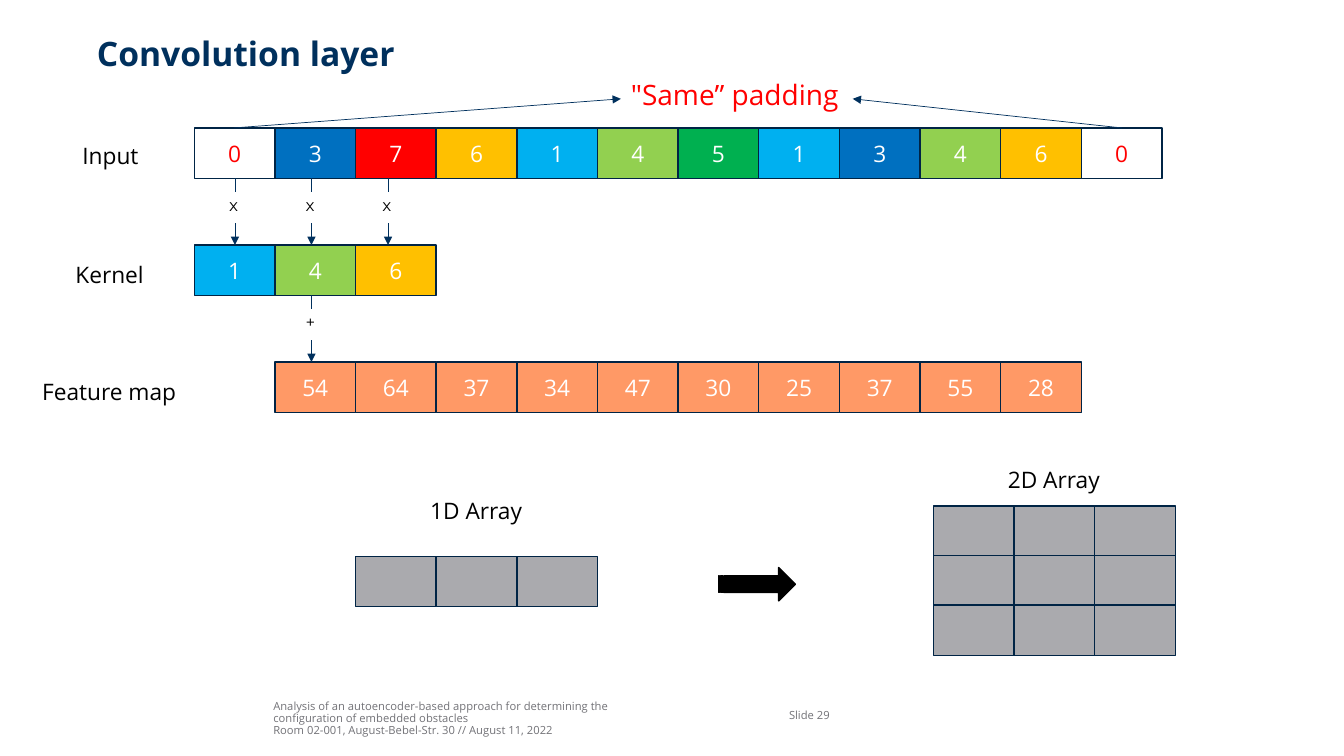
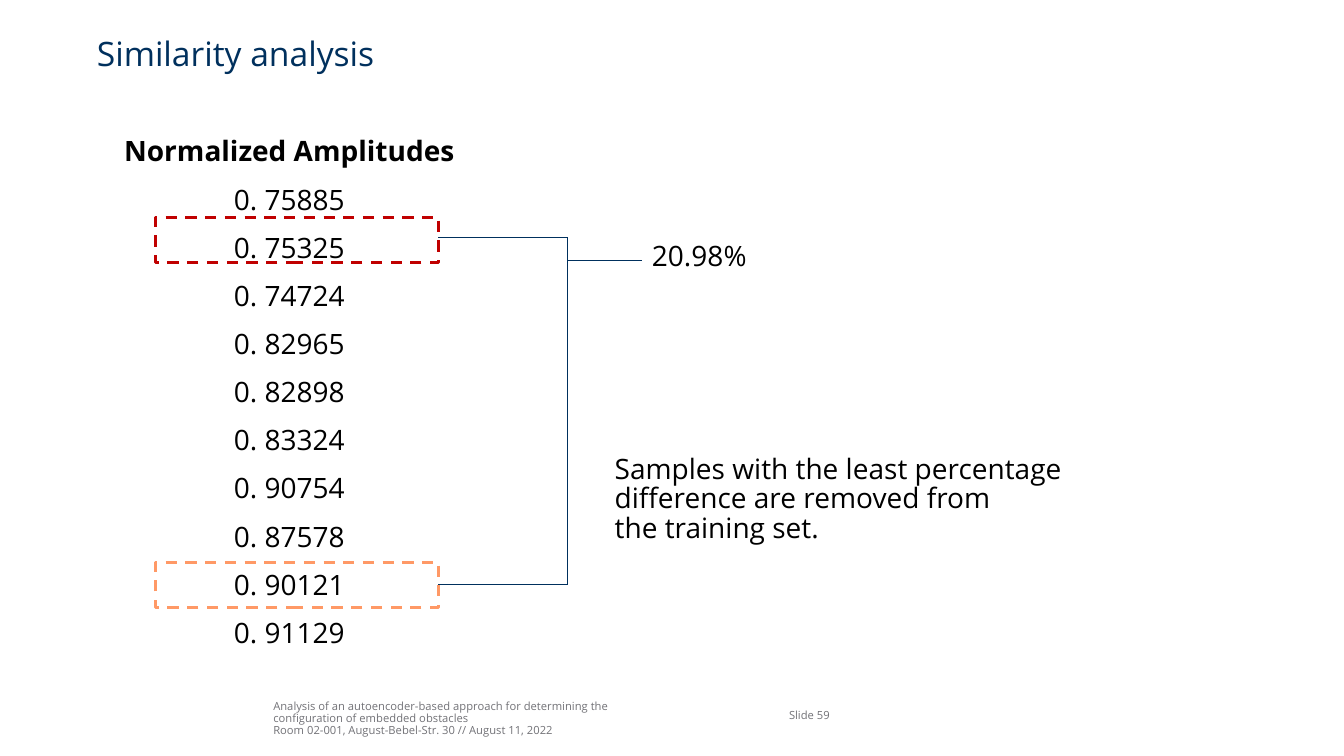
"""Build two slides on convolution and similarity analysis."""
from dataclasses import dataclass
from typing import Any, Optional

from lxml.etree import SubElement
from pptx import Presentation
from pptx.dml.color import RGBColor
from pptx.enum.dml import MSO_LINE
from pptx.enum.shapes import MSO_CONNECTOR, MSO_SHAPE
from pptx.enum.text import MSO_ANCHOR, PP_ALIGN
from pptx.oxml.ns import qn
from pptx.util import Pt

NAVY = RGBColor(0x00, 0x30, 0x5D)
EDGE = RGBColor(0x00, 0x24, 0x45)
GREY = RGBColor(0x72, 0x72, 0x77)
STONE = RGBColor(0xAA, 0xAA, 0xAE)
BLACK = RGBColor(0x00, 0x00, 0x00)
WHITE = RGBColor(0xFF, 0xFF, 0xFF)
RED = RGBColor(0xFF, 0x00, 0x00)
WINE = RGBColor(0xC0, 0x00, 0x00)
PEACH = RGBColor(0xFF, 0x99, 0x66)
BLUE = RGBColor(0x00, 0x70, 0xC0)
SKY = RGBColor(0x00, 0xB0, 0xF0)
GOLD = RGBColor(0xFF, 0xC0, 0x00)
LIME = RGBColor(0x92, 0xD0, 0x50)
GREEN = RGBColor(0x00, 0xB0, 0x50)

SANS = "Open Sans"
WIDE, HIGH = 57.6, 36
LEFT = 138.8
IN_TOP, KEY_TOP, MAP_TOP = 91.4, 175, 258.5
TIGHT = 0.88
FOOT = ("Analysis of an autoencoder-based approach for determining the\v"
        "configuration of embedded obstacles\n"
        "Room 02-001, August-Bebel-Str. 30 // August 11, 2022")


@dataclass
class Box:
    """Hold a rectangle in points."""
    left: float
    top: float
    wide: float
    high: float

    def spot(self) -> list[Pt]:
        """Return the four lengths for a shape call."""
        return [Pt(n) for n in (self.left, self.top, self.wide, self.high)]


@dataclass
class Label:
    """Describe free text."""
    text: str
    box: Box
    size: float = 16.2
    color: RGBColor = BLACK
    name: str = SANS


@dataclass
class Cell:
    """Describe one square of an array."""
    text: str
    fill: RGBColor
    color: RGBColor = WHITE


@dataclass
class Line:
    """Describe a straight line."""
    ax: float
    ay: float
    bx: float
    by: float
    head: bool = False


def apply(item: Any, form: dict[str, Any]) -> None:
    """Set each format value on an item."""
    for key, value in form.items():
        setattr(item, key, value)


def style(frame: Any, size: float, color: RGBColor, para: Optional[dict[str, Any]] = None,
          **font: Any) -> None:
    """Format all paragraphs of a text frame."""
    form = {"name": SANS, "size": Pt(size), "bold": False} | font
    for part in frame.paragraphs:
        apply(part, para or {})
        apply(part.font, form)
        part.font.color.rgb = color


def write(slide: Any, label: Label, **form: Any) -> None:
    """Draw a text box."""
    frame = slide.shapes.add_textbox(*label.box.spot()).text_frame
    apply(frame, {"text": label.text, "word_wrap": False} | form)
    style(frame, label.size, label.color, {"line_spacing": TIGHT}, name=label.name)


def draw(slide: Any, box: Box, fill: Optional[RGBColor], edge: RGBColor,
         width: float = 1, kind: Any = MSO_SHAPE.RECTANGLE) -> Any:
    """Draw a preset shape without a shadow."""
    shape = slide.shapes.add_shape(kind, *box.spot())
    shape.shadow.inherit = False
    if fill is None:
        shape.fill.background()
    else:
        shape.fill.solid()
        shape.fill.fore_color.rgb = fill
    shape.line.color.rgb = edge
    shape.line.width = Pt(width)
    return shape


def link(slide: Any, line: Line) -> None:
    """Draw a thin line with an optional arrowhead."""
    ends = [Pt(n) for n in (line.ax, line.ay, line.bx, line.by)]
    item = slide.shapes.add_connector(MSO_CONNECTOR.STRAIGHT, *ends)
    item.line.color.rgb = NAVY
    item.line.width = Pt(0.5)
    if line.head:
        SubElement(item.line._get_or_add_ln(), qn("a:tailEnd"), type="triangle")
    SubElement(item._element.spPr, qn("a:effectLst"))


def array(slide: Any, left: float, top: float, cells: list[Cell]) -> None:
    """Draw cells side by side."""
    for col, cell in enumerate(cells):
        shape = draw(slide, Box(left + col * WIDE, top, WIDE, HIGH), cell.fill, EDGE)
        if cell.text:
            frame = shape.text_frame
            apply(frame, {"text": cell.text, "vertical_anchor": MSO_ANCHOR.MIDDLE})
            style(frame, 16.2, cell.color, {"alignment": PP_ALIGN.CENTER})


def step(slide: Any, mid: float, top: float, sign: str) -> None:
    """Draw a sign between a short line and an arrow."""
    write(slide, Label(sign, Box(mid - 11.2, top + 10, 22.4, 21.6), 12, name="Montserrat"))
    link(slide, Line(mid, top, mid, top + 10))
    link(slide, Line(mid, top + 32, mid, top + 47.6, True))


def start(deck: Any, title: str, page: int, bold: bool) -> Any:
    """Add a slide with title, footer and page number."""
    slide = deck.slides.add_slide(deck.slide_layouts[5])
    head = slide.shapes.title
    flush = dict.fromkeys(
        ("margin_left", "margin_top", "margin_right", "margin_bottom"), 0)
    apply(head, dict(zip(("left", "top", "width", "height"),
                         Box(69.2, 27.4, 833, 54).spot())))
    apply(head.text_frame, flush | {"text": title, "vertical_anchor": MSO_ANCHOR.TOP})
    style(head.text_frame, 24, NAVY,
          {"alignment": PP_ALIGN.LEFT, "line_spacing": TIGHT}, bold=bold)
    write(slide, Label(FOOT, Box(195.2, 497.5, 353, 28.8), 8, GREY),
          **flush, word_wrap=True, vertical_anchor=MSO_ANCHOR.BOTTOM)
    write(slide, Label(f"Slide {page}", Box(563.6, 497, 55.4, 28.8), 8, GREY),
          **flush, word_wrap=True, vertical_anchor=MSO_ANCHOR.MIDDLE)
    return slide


def layer(deck: Any) -> None:
    """Build the convolution slide."""
    slide = start(deck, "Convolution layer", 29, True)
    tints = [BLUE, RED, GOLD, SKY, LIME, GREEN, SKY, BLUE, LIME, GOLD]
    pad = Cell("0", WHITE, RED)
    data = [Cell(num, tint) for num, tint in zip("3764145134"[:0] + "3761451346", tints)]
    array(slide, LEFT, IN_TOP, [pad, *data, pad])
    array(slide, LEFT, KEY_TOP, [Cell("1", SKY), Cell("4", LIME), Cell("6", GOLD)])
    sums = (54, 64, 37, 34, 47, 30, 25, 37, 55, 28)
    array(slide, LEFT + WIDE, MAP_TOP, [Cell(str(num), PEACH) for num in sums])

    blank = [Cell("", STONE)] * 3
    array(slide, LEFT + 2 * WIDE, 397.4, blank)
    for row in range(3):
        array(slide, 666.7, 361.4 + row * 35.4, blank)
    draw(slide, Box(513.4, 405.4, 54.7, 23.8), BLACK, BLACK,
         kind=MSO_SHAPE.STRIPED_RIGHT_ARROW)

    for label in (
        Label("Input", Box(51.8, 100.1, 54.7, 26.6)),
        Label("Kernel", Box(46.8, 185, 64.1, 26.6)),
        Label("Feature map", Box(23, 268.6, 111.6, 26.6)),
        Label("1D Array", Box(300.2, 353.5, 80.6, 26.6)),
        Label("2D Array", Box(712.8, 331.9, 80.6, 26.6)),
        Label("\"Same” padding", Box(443.5, 54.7, 164.9, 31.7), 20, RED),
    ):
        write(slide, label)
    link(slide, Line(167, IN_TOP, 443.5, 70.6, True))
    link(slide, Line(801.4, IN_TOP, 609.1, 70.6, True))
    for col in range(3):
        step(slide, 167.8 + col * 54.7, IN_TOP + HIGH, "x")
    step(slide, 222.5, KEY_TOP + HIGH, "+")


def match(deck: Any) -> None:
    """Build the similarity slide."""
    slide = start(deck, "Similarity analysis", 59, False)
    rows = ["Normalized Amplitudes", "0. 75885", "0. 75325", "0. 74724", "0. 82965",
            "0. 82898", "0. 83324", "0. 90754", "0. 87578", "0. 90121", "0. 91129"]
    tall = 34.4
    table = slide.shapes.add_table(
        len(rows), 1, *Box(69.2, 90.7, 275, tall * len(rows)).spot()).table
    table.horz_banding = False
    for num, text in enumerate(rows):
        table.rows[num].height = Pt(tall)
        cell = table.cell(num, 0)
        cell.text = text
        cell.fill.solid()
        cell.fill.fore_color.rgb = WHITE
        style(cell.text_frame, 20, BLACK, {"alignment": PP_ALIGN.CENTER}, bold=num == 0)

    for top, edge in ((155.3, WINE), (401.6, PEACH)):
        frame = draw(slide, Box(111, top, 202.3, 32.4), None, edge, 2)
        frame.line.dash_style = MSO_LINE.DASH
    high, low, near, far = 169.6, 417.4, 313.2, 405.4
    for line in (
        Line(near, high, far, high),
        Line(near, low, far, low),
        Line(far, high, far, low),
        Line(far, 186, 458.6, 186),
    ):
        link(slide, line)
    write(slide, Label("20.98%", Box(458.6, 169.9, 82.8, 31.7), 20))
    write(slide, Label("Samples with the least percentage\vdifference are removed from\v"
                       "the training set.", Box(432, 321.8, 336.2, 79.9), 20))


def main() -> None:
    """Build and save the deck."""
    deck = Presentation()
    apply(deck, {"slide_width": Pt(960), "slide_height": Pt(540)})
    layer(deck)
    match(deck)
    deck.save("out.pptx")


if __name__ == "__main__":
    main()
